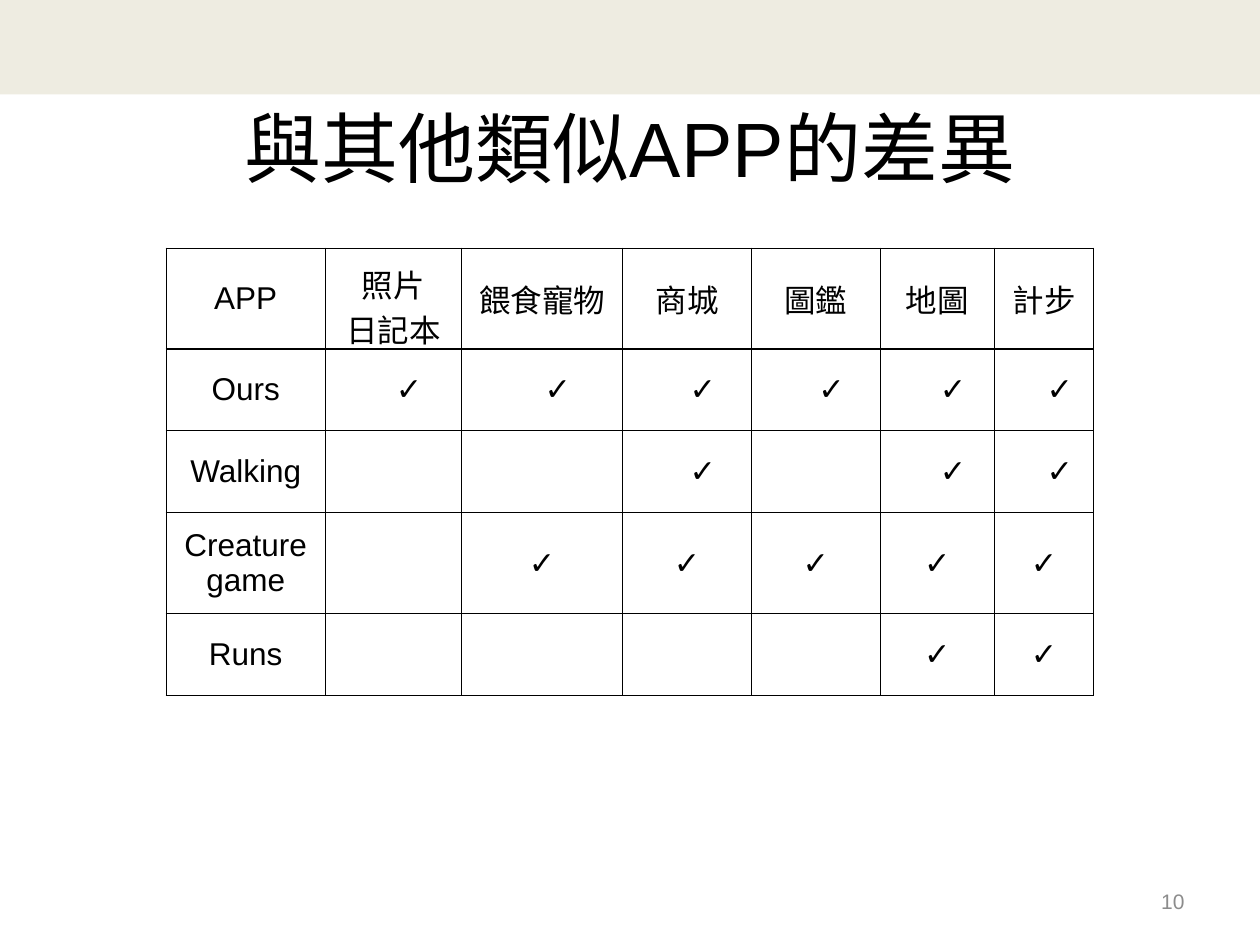
from dataclasses import dataclass
from typing import NamedTuple

from lxml.etree import SubElement
from pptx import Presentation
from pptx.dml.color import RGBColor
from pptx.enum.shapes import MSO_SHAPE as Shape
from pptx.enum.text import MSO_ANCHOR as Anchor, MSO_AUTO_SIZE as AutoSize, PP_ALIGN as Align
from pptx.oxml.ns import qn
from pptx.util import Pt


@dataclass(frozen=True)
class Theme:
    font: str = "Arial"
    ink: str = "000000"
    band: str = "EEECE1"
    muted: str = "8C8C8C"
    title_size: float = 44
    table_size: float = 18
    number_size: float = 12
    border_width: float = 0.75
    inset: float = 7.2


class Box(NamedTuple):
    left: float
    top: float
    width: float
    height: float


class AppRow(NamedTuple):
    name: str
    checks: tuple[bool, ...]
    check_indent: float = 0


THEME = Theme()
PAGE = Box(0, 0, 720, 540)
BAND = Box(0, 0, 720, 54)
TITLE = Box(36, 54.7, 648, 62.6)
NUMBER = Box(516.2, 500.4, 167.8, 28.8)
TABLE = Box(95, 141.8, 530, 234)
COLUMN_WIDTHS = (90.9, 77.8, 92.2, 73.6, 73.6, 65.3, 56.6)
HEADERS = ("APP", "照片\n日記本", "餵食寵物", "商城", "圖鑑", "地圖", "計步")
APPS = (
    AppRow("Ours", (True,) * 6, 18),
    AppRow("Walking", (False, False, True, False, True, True), 18),
    AppRow("Creature game", (False,) + (True,) * 5),
    AppRow("Runs", (False,) * 4 + (True,) * 2),
)


def in_points(box: Box) -> list[int]:
    return [Pt(length) for length in box]


def format_text(frame, size: float, color: str, align: Align) -> None:
    for para in frame.paragraphs:
        para.alignment = align
        para.font.name = THEME.font
        para.font.size = Pt(size)
        para.font.color.rgb = RGBColor.from_string(color)


def set_insets(frame) -> None:
    frame.margin_left = frame.margin_right = Pt(THEME.inset)
    frame.margin_top = frame.margin_bottom = Pt(THEME.inset)


def add_borders(cell) -> None:
    properties = cell._tc.get_or_add_tcPr()
    for side in ("lnL", "lnR", "lnT", "lnB"):
        line = SubElement(properties, qn(f"a:{side}"), w=str(Pt(THEME.border_width)))
        fill = SubElement(line, qn("a:solidFill"))
        SubElement(fill, qn("a:srgbClr"), val=THEME.ink)


def fill_cell(cell, text: str, indent: float = 0) -> None:
    add_borders(cell)
    cell.fill.background()
    cell.vertical_anchor = Anchor.MIDDLE
    set_insets(cell)
    cell.text = text
    format_text(cell.text_frame, THEME.table_size, THEME.ink, Align.CENTER)
    if text and indent:
        cell.text_frame.paragraphs[0]._p.get_or_add_pPr().set("marL", str(Pt(indent)))


def add_band(slide) -> None:
    band = slide.shapes.add_shape(Shape.RECTANGLE, *in_points(BAND))
    band.shadow.inherit = False
    band.fill.solid()
    band.fill.fore_color.rgb = RGBColor.from_string(THEME.band)
    band.line.fill.background()


def set_title(slide) -> None:
    title = slide.shapes.title
    title.left, title.top, title.width, title.height = in_points(TITLE)
    frame = title.text_frame
    frame.text = "與其他類似APP的差異"
    frame.auto_size = AutoSize.NONE
    frame.vertical_anchor = Anchor.BOTTOM
    set_insets(frame)
    format_text(frame, THEME.title_size, THEME.ink, Align.CENTER)


def add_page_number(slide) -> None:
    frame = slide.shapes.add_textbox(*in_points(NUMBER)).text_frame
    frame.word_wrap = True
    frame.vertical_anchor = Anchor.MIDDLE
    frame.text = "10"
    format_text(frame, THEME.number_size, THEME.muted, Align.RIGHT)


def add_comparison(slide) -> None:
    table = slide.shapes.add_table(
        len(APPS) + 1, len(HEADERS), *in_points(TABLE)
    ).table
    table.first_row = table.horz_banding = False
    for column, width in zip(table.columns, COLUMN_WIDTHS):
        column.width = Pt(width)
    for column, header in enumerate(HEADERS):
        fill_cell(table.cell(0, column), header)
    for row, app in enumerate(APPS, start=1):
        fill_cell(table.cell(row, 0), app.name)
        for column, checked in enumerate(app.checks, start=1):
            fill_cell(table.cell(row, column), "✓" if checked else "", app.check_indent)


def main() -> None:
    deck = Presentation()
    deck.slide_width, deck.slide_height = Pt(PAGE.width), Pt(PAGE.height)
    slide = deck.slides.add_slide(deck.slide_layouts[5])
    add_band(slide)
    set_title(slide)
    add_page_number(slide)
    add_comparison(slide)
    deck.save("out.pptx")


if __name__ == "__main__":
    main()
